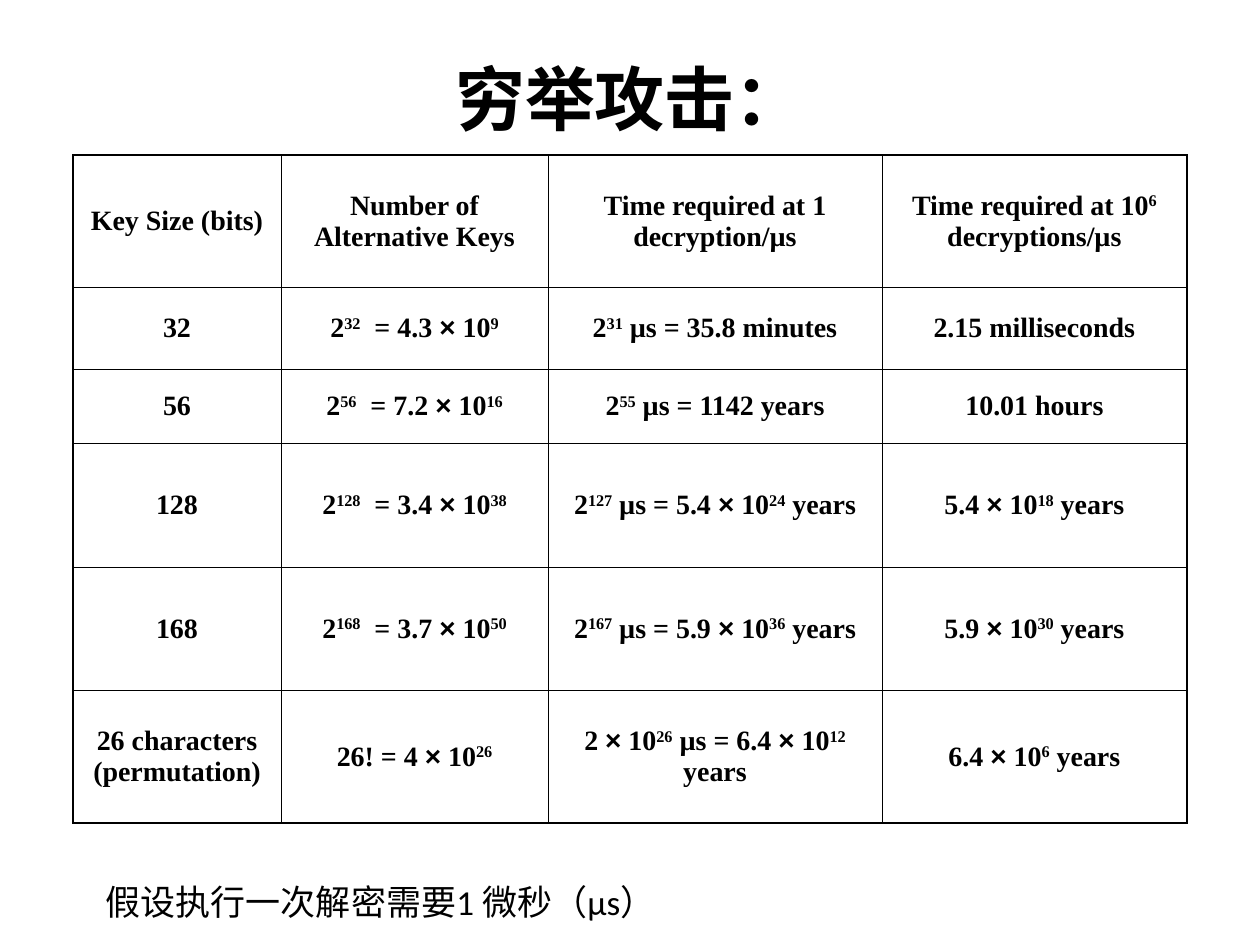
from pptx import Presentation
from pptx.util import Inches, Pt
from pptx.dml.color import RGBColor
from pptx.enum.text import MSO_ANCHOR, PP_ALIGN
from pptx.oxml import parse_xml
from pptx.oxml.ns import nsdecls
from lxml.etree import SubElement
from pptx.oxml.ns import qn

theme = {
    "ink": "000000",
    "thin": 0.45,
    "thick": 1.08,
    "title": {"name": "Noto Sans CJK SC", "size": Pt(40), "bold": True},
    "cell": {"name": "Times New Roman", "size": Pt(16), "bold": True},
    "times": {"name": "Arial", "size": Pt(16), "bold": True},
    "note": {"name": "Calibri", "size": Pt(20), "bold": False},
}


def add_run(para, text, style, raised=False):
    run = para.add_run()
    run.text = text
    for key, value in theme[style].items():
        setattr(run.font, key, value)
    run.font.color.rgb = RGBColor.from_string(theme["ink"])
    props = run.font._element
    if style in ("title", "note"):
        SubElement(props, qn("a:ea")).set("typeface", theme["title"]["name"])
    if raised:
        props.set("baseline", "30000")


def add_edge(cell, side, width):
    cell._tc.get_or_add_tcPr().append(parse_xml(
        f'<a:ln{side} {nsdecls("a")} w="{Pt(width)}"><a:solidFill>'
        f'<a:srgbClr val="{theme["ink"]}"/></a:solidFill></a:ln{side}>'))


deck = Presentation()
deck.slide_width, deck.slide_height = Inches(10), Inches(7.5)
slide = deck.slides.add_slide(deck.slide_layouts[6])

labels = [
    ("穷举攻击：", "title", (0.5, 0.15, 9, 1.25), MSO_ANCHOR.MIDDLE, PP_ALIGN.CENTER),
    ("假设执行一次解密需要1 微秒（μs）", "note", (0.74, 6.94, 8.65, 0.44), MSO_ANCHOR.TOP, PP_ALIGN.LEFT),
]
for text, style, place, anchor, align in labels:
    frame = slide.shapes.add_textbox(*map(Inches, place)).text_frame
    frame.word_wrap = True
    frame.vertical_anchor = anchor
    para = frame.paragraphs[0]
    para.alignment = align
    add_run(para, text, style)

rows = [
    ["Key Size (bits)", "Number of Alternative Keys",
     "Time required at 1 decryption/µs", "Time required at 10^6^ decryptions/µs"],
    ["32", "2^32^  = 4.3 × 10^9", "2^31^ µs = 35.8 minutes", "2.15 milliseconds"],
    ["56", "2^56^  = 7.2 × 10^16", "2^55^ µs = 1142 years", "10.01 hours"],
    ["128", "2^128^  = 3.4 × 10^38", "2^127^ µs = 5.4 × 10^24^ years", "5.4 × 10^18^ years"],
    ["168", "2^168^  = 3.7 × 10^50", "2^167^ µs = 5.9 × 10^36^ years", "5.9 × 10^30^ years"],
    ["26 characters (permutation)", "26! = 4 × 10^26",
     "2 × 10^26^ µs = 6.4 × 10^12^ years", "6.4 × 10^6^ years"],
]
widths = [1.65, 2.12, 2.65, 2.42]
heights = [1.05, 0.65, 0.59, 0.98, 0.98, 1.05]
last_row, last_col = len(rows) - 1, len(widths) - 1

grid = slide.shapes.add_table(
    len(rows), len(widths), Inches(0.58), Inches(1.23),
    Inches(sum(widths)), Inches(sum(heights))).table
grid.first_row = grid.horz_banding = False
for col, width in zip(grid.columns, widths):
    col.width = Inches(width)
for row, height in zip(grid.rows, heights):
    row.height = Inches(height)

look = {"alignment": PP_ALIGN.CENTER, "space_before": Pt(3), "space_after": Pt(3)}
for r, row in enumerate(rows):
    for c, text in enumerate(row):
        cell = grid.cell(r, c)
        cell.vertical_anchor = MSO_ANCHOR.MIDDLE
        outer = {"L": c == 0, "R": c == last_col, "T": r == 0, "B": r == last_row}
        for side, edge in outer.items():
            add_edge(cell, side, theme["thick" if edge else "thin"])
        cell.fill.background()
        para = cell.text_frame.paragraphs[0]
        for key, value in look.items():
            setattr(para, key, value)
        for i, part in enumerate(text.split("^")):
            before, sign, after = part.partition("×")
            for piece, style in ((before, "cell"), (sign, "times"), (after, "cell")):
                if piece:
                    add_run(para, piece, style, i % 2 == 1)

deck.save("out.pptx")
